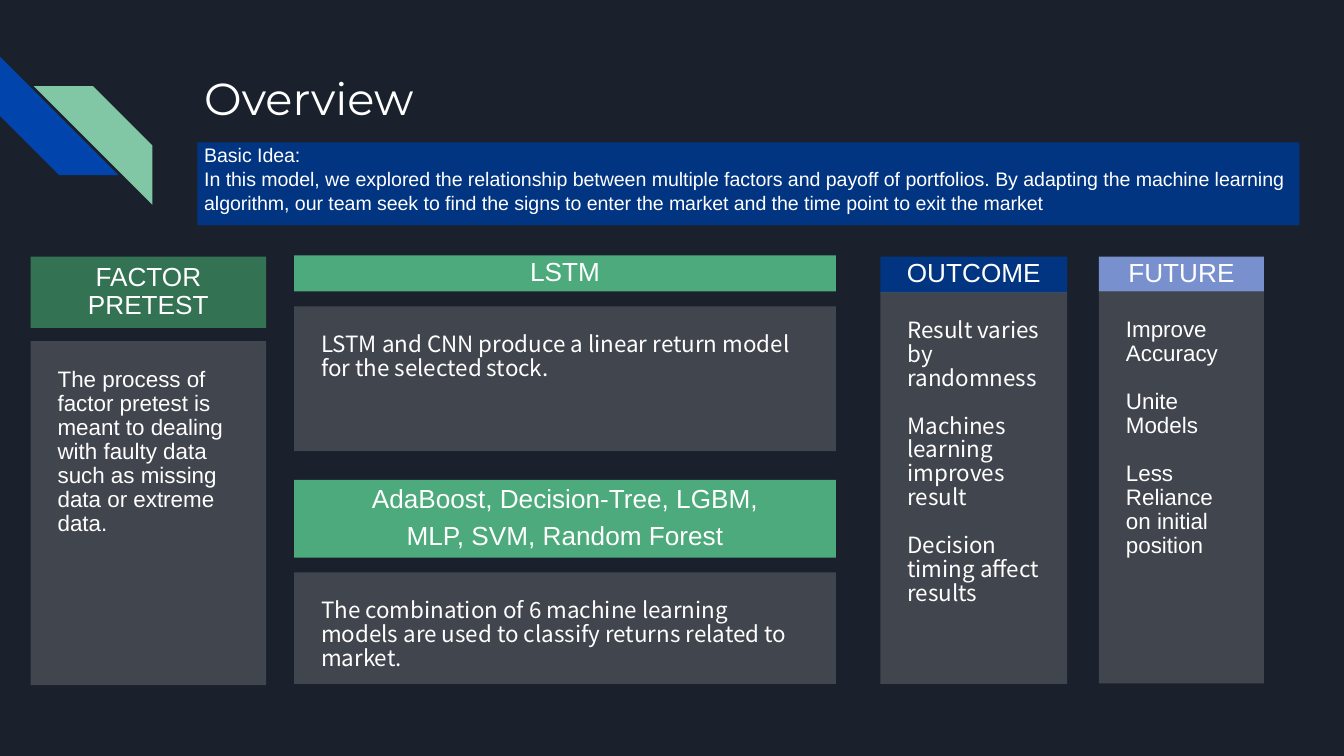
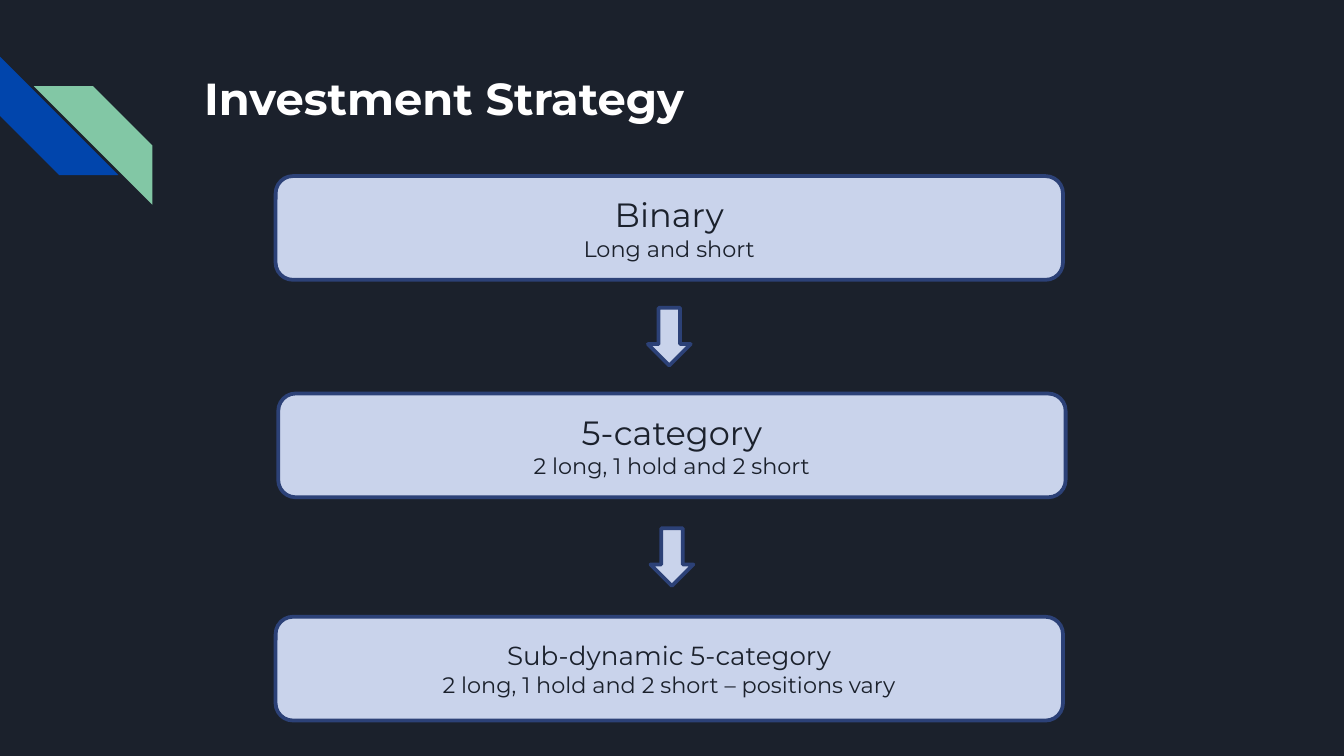
from itertools import pairwise

from lxml.etree import SubElement
from pptx import Presentation
from pptx.dml.color import RGBColor
from pptx.enum.shapes import MSO_SHAPE as Preset
from pptx.enum.text import MSO_ANCHOR as Anchor, MSO_AUTO_SIZE as AutoSize, PP_ALIGN as Align
from pptx.oxml.ns import qn
from pptx.util import Cm, Pt

NIGHT = RGBColor(0x1B, 0x21, 0x2C)
WHITE = RGBColor(0xFF, 0xFF, 0xFF)
GRAY = RGBColor(0xD9, 0xD9, 0xD9)
BLUE = RGBColor(0x01, 0x45, 0xAC)
MINT = RGBColor(0x82, 0xC7, 0xA5)
FOREST = RGBColor(0x33, 0x72, 0x53)
GREEN = RGBColor(0x4C, 0xAA, 0x7C)
NAVY = RGBColor(0x01, 0x34, 0x81)
PERIWINKLE = RGBColor(0x78, 0x90, 0xCD)
PALE = RGBColor(0xC9, 0xD3, 0xEB)
INDIGO = RGBColor(0x2C, 0x41, 0x77)

HEADING_FONT = "Montserrat"
PLAIN_FONT = "Arial"
NOTE_FONT = "Noto Sans CJK SC"

STEP_WIDTH, STEP_HEIGHT = 14.88, 1.96
ARROW_WIDTH, ARROW_HEIGHT = 0.81, 1.09


def add_block(page, preset, left, top, width, height, fill, outline=None):
    block = page.shapes.add_shape(preset, Cm(left), Cm(top), Cm(width), Cm(height))
    block.shadow.inherit = False
    block.fill.solid()
    block.fill.fore_color.rgb = fill
    if outline is None:
        block.line.fill.background()
    else:
        block.line.color.rgb = outline
        block.line.width = Pt(2)
    return block


def set_frame(shape, anchor, inset):
    frame = shape.text_frame
    frame.word_wrap = True
    frame.auto_size = AutoSize.NONE
    frame.vertical_anchor = anchor
    frame.margin_left = frame.margin_right = Cm(inset)
    frame.margin_top = frame.margin_bottom = Cm(inset)
    return frame


def add_para(frame, text, size, font, color, align=Align.LEFT, bold=None):
    first = frame.paragraphs[0]
    para = frame.add_paragraph() if first.runs else first
    para.alignment = align
    span = para.add_run()
    span.text = text
    span.font.size = Pt(size)
    span.font.name = font
    span.font.bold = bold
    span.font.color.rgb = color
    return para


def add_page(deck, title, bold=None):
    page = deck.slides.add_slide(deck.slide_layouts[5])
    page.background.fill.solid()
    page.background.fill.fore_color.rgb = NIGHT
    lower = add_block(page, Preset.DIAGONAL_STRIPE, 0, 1.07, 2.24, 2.24, BLUE)
    lower.rotation = 270
    upper = add_block(page, Preset.DIAGONAL_STRIPE, 0.64, 1.63, 2.24, 2.24, MINT)
    upper._element.spPr.find(qn("a:xfrm")).set("flipH", "1")
    box = page.shapes.title
    box.left, box.top, box.width, box.height = Cm(3.61), Cm(1.09), Cm(19.56), Cm(2.54)
    add_para(set_frame(box, Anchor.TOP, 0.25), title, 24, HEADING_FONT, WHITE, bold=bold)
    return page


def add_header(page, left, top, width, height, fill, lines):
    box = add_block(page, Preset.RECTANGLE, left, top, width, height, fill)
    frame = set_frame(box, Anchor.MIDDLE, 0.13)
    for line in lines:
        para = add_para(frame, line, 14, PLAIN_FONT, WHITE, Align.CENTER)
        para.line_spacing = 0.9
        para.space_after = Pt(5)


def add_panel(page, left, top, width, height, font, groups):
    box = add_block(page, Preset.RECTANGLE, left, top, width, height, GRAY)
    color = box._element.spPr.find(qn("a:solidFill"))[0]
    SubElement(color, qn("a:alpha")).set("val", "20000")
    frame = set_frame(box, Anchor.TOP, 0.51)
    for group_index, lines in enumerate(groups):
        for line_index, line in enumerate(lines):
            para = add_para(frame, line, 12, font, WHITE)
            para.line_spacing = Pt(12.8)
            if group_index and not line_index:
                para.space_before = Pt(12.8)


def add_idea(page, lines):
    box = add_block(page, Preset.RECTANGLE, 3.73, 2.69, 20.83, 1.57, NAVY)
    frame = set_frame(box, Anchor.TOP, 0.13)
    frame.margin_top = Cm(0.02)
    for line in lines:
        add_para(frame, line, 10.5, PLAIN_FONT, WHITE).line_spacing = Pt(12.6)


def add_step(page, left, top, name, size, detail):
    box = add_block(page, Preset.ROUNDED_RECTANGLE, left, top,
                    STEP_WIDTH, STEP_HEIGHT, PALE, INDIGO)
    frame = set_frame(box, Anchor.MIDDLE, 0.25)
    add_para(frame, name, size, HEADING_FONT, NIGHT, Align.CENTER)
    add_para(frame, detail, 12, HEADING_FONT, NIGHT, Align.CENTER)


def add_step_arrow(page, left, upper_top, lower_top):
    middle = (upper_top + STEP_HEIGHT + lower_top) / 2
    add_block(page, Preset.DOWN_ARROW, left + (STEP_WIDTH - ARROW_WIDTH) / 2,
              middle - ARROW_HEIGHT / 2, ARROW_WIDTH, ARROW_HEIGHT, PALE, INDIGO)


def build_overview(deck):
    page = add_page(deck, "Overview")
    add_idea(page, [
        "Basic Idea:",
        "In this model, we explored the relationship between multiple factors and payoff "
        "of portfolios. By adapting the machine learning algorithm, our team seek to find "
        "the signs to enter the market and the time point to exit the market",
    ])
    pretest, models, outcome, future = (0.58, 4.45), (5.56, 10.24), (16.64, 3.53), (20.77, 3.12)
    headers = [
        (pretest, 4.85, 1.35, FOREST, ["FACTOR PRETEST"]),
        (models, 4.83, 0.68, GREEN, ["LSTM"]),
        (models, 9.07, 1.47, GREEN, ["AdaBoost, Decision-Tree, LGBM,", "MLP, SVM, Random Forest"]),
        (outcome, 4.85, 0.68, NAVY, ["OUTCOME"]),
        (future, 4.85, 0.66, PERIWINKLE, ["FUTURE"]),
    ]
    for (left, width), top, height, fill, lines in headers:
        add_header(page, left, top, width, height, fill, lines)
    panels = [
        (pretest, 6.45, 6.5, PLAIN_FONT, [
            ["The process of factor pretest is meant to dealing with faulty data "
             "such as missing data or extreme data."]]),
        (models, 5.79, 2.74, NOTE_FONT, [
            ["LSTM and CNN produce a linear return model for the selected stock."]]),
        (models, 10.82, 2.11, NOTE_FONT, [
            ["The combination of 6 machine learning models are used to classify "
             "returns related to market."]]),
        (outcome, 5.52, 7.41, NOTE_FONT, [
            ["Result varies by randomness"],
            ["Machines learning improves result"],
            ["Decision timing affect results"]]),
        (future, 5.51, 7.41, PLAIN_FONT, [
            ["Improve Accuracy"],
            ["Unite", "Models"],
            ["Less", "Reliance on initial", "position"]]),
    ]
    for (left, width), top, height, font, groups in panels:
        add_panel(page, left, top, width, height, font, groups)


def build_strategy(deck):
    page = add_page(deck, "Investment Strategy", bold=True)
    steps = [
        (5.21, 3.33, "Binary", 18, "Long and short"),
        (5.26, 7.44, "5-category", 18, "2 long, 1 hold and 2 short"),
        (5.21, 11.66, "Sub-dynamic 5-category", 14,
         "2 long, 1 hold and 2 short – positions vary"),
    ]
    for step in steps:
        add_step(page, *step)
    for upper, lower in pairwise(steps):
        add_step_arrow(page, upper[0], upper[1], lower[1])


def main():
    deck = Presentation()
    deck.slide_width, deck.slide_height = Cm(25.4), Cm(14.29)
    build_overview(deck)
    build_strategy(deck)
    deck.save("out.pptx")


if __name__ == "__main__":
    main()
